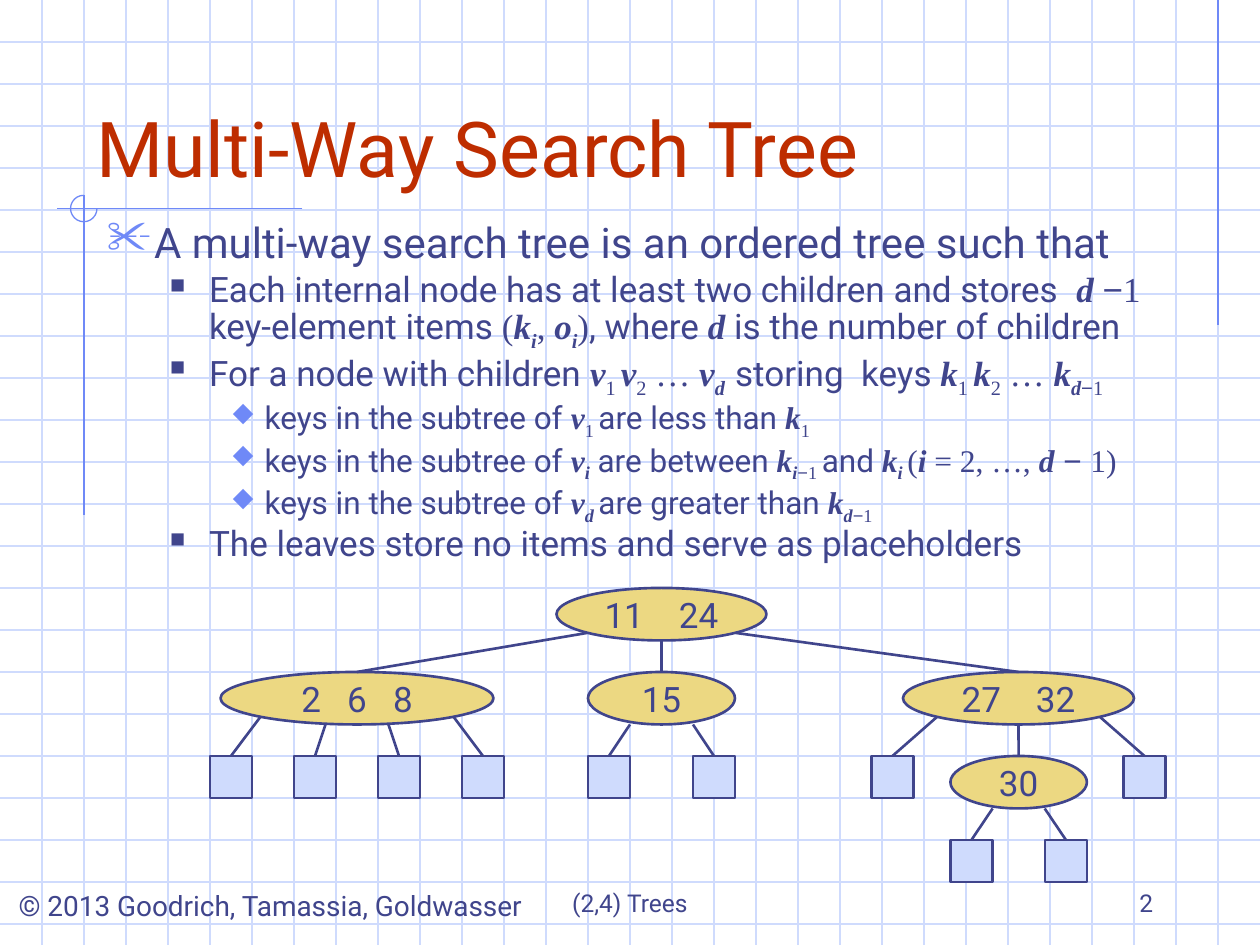
import dataclasses

import lxml.etree
import pptx
import pptx.dml.color
import pptx.enum.shapes
import pptx.enum.text
import pptx.oxml.ns
import pptx.util


@dataclasses.dataclass
class Theme:
    ink: str = "40458C"
    accent: str = "6F89F7"
    pale: str = "CFDBFD"
    gold: str = "ECD882"
    rust: str = "BE2D00"
    sans: str = "Roboto"
    serif: str = "Times New Roman"
    sign: str = "Arial"
    title: int = 44
    levels: tuple = (24, 20, 18)
    node: int = 20
    credit: int = 16
    footer: int = 14
    thin: float = 0.75
    thick: float = 1.5


theme = Theme()
rgb = pptx.dml.color.RGBColor.from_string
qn = pptx.oxml.ns.qn
shapes = pptx.enum.shapes.MSO_SHAPE
anchors = pptx.enum.text.MSO_ANCHOR
aligns = pptx.enum.text.PP_ALIGN
cell = pptx.util.Cm(2.54) / 3  # the slide is 30 by 22.5 squares of graph paper

deck = pptx.Presentation()
deck.slide_width = pptx.util.Cm(25.4)
deck.slide_height = pptx.util.Cm(19.05)
page = deck.slides.add_slide(deck.slide_layouts[6])


def draw_line(x1, y1, x2, y2, color, width):
    ends = (round(cell * v) for v in (x1, y1, x2, y2))
    line = page.shapes.add_connector(pptx.enum.shapes.MSO_CONNECTOR.STRAIGHT, *ends)
    line.line.color.rgb = rgb(color)
    line.line.width = pptx.util.Pt(width)
    lxml.etree.SubElement(line.element.spPr, qn("a:effectLst"))
    return line


def add_span(para, text, size, color=theme.ink, font=theme.sans, bold=False, sub=False):
    span = para.add_run()
    span.text = text
    span.font.name = font
    span.font.size = pptx.util.Pt(size)
    span.font.color.rgb = rgb(color)
    span.font.bold = span.font.italic = bold
    if sub:
        span.font._element.set("baseline", "-25000")
    return span


# Graph paper
for row in range(1, 23):
    draw_line(0, row, 30, row, theme.pale, theme.thin)
for column in range(1, 30):
    draw_line(column, 0, column, 22.5, theme.pale, theme.thin)

# Margin rules and the three-quarter circle where they cross
for ends in ((29, 0, 29, 7.75), (7.2, 4.97, 1.35, 4.97), (2, 4.65, 2, 12.27)):
    draw_line(*ends, theme.accent, theme.thin)
arc = page.shapes.add_shape(shapes.ARC, *(round(cell * v) for v in (1.68, 4.65, 0.63, 0.63)))
arc.shadow.inherit = False
arc.adjustments[0] = 0
arc.adjustments[1] = 162  # 270 degrees
arc.fill.background()
arc.line.color.rgb = rgb(theme.accent)
arc.line.width = pptx.util.Pt(theme.thin)

# Title and footer: place in cells, text, size, colour, alignment, anchor, wrap
labels = [
    ((-0.15, 21, 13.17, 1.1), "© 2013 Goodrich, Tamassia, Goldwasser", theme.credit, theme.ink,
     aligns.CENTER, anchors.TOP, False),
    ((10.25, 20.5, 9.5, 1.5), "(2,4) Trees", theme.footer, theme.ink,
     aligns.CENTER, anchors.BOTTOM, True),
    ((21.5, 20.5, 6.25, 1.5), "2", theme.footer, theme.ink,
     aligns.RIGHT, anchors.BOTTOM, True),
    ((2, 1, 26.75, 3.75), "Multi-Way Search Tree", theme.title, theme.rust,
     aligns.LEFT, anchors.BOTTOM, True),
]
for place, text, size, color, align, anchor, wrap in labels:
    box = page.shapes.add_textbox(*(round(cell * v) for v in place))
    box.text_frame.word_wrap = wrap
    box.text_frame.vertical_anchor = anchor
    para = box.text_frame.paragraphs[0]
    para.alignment = align
    add_span(para, text, size, color)

# Body: level, then (style, text) spans; "_" marks a subscript
styles = {
    "text": (theme.sans, False),
    "var": (theme.serif, True),
    "math": (theme.serif, False),
    "sign": (theme.sign, False),
}
last_key = [("var", "k"), ("var_", "d"), ("sign_", "−"), ("math_", "1")]
subtree = ("text", "keys in the subtree of ")
body = [
    (0, [("text", "A multi-way search tree is an ordered tree such that")]),
    (1, [("text", "Each internal node has at least two children and stores  "), ("var", "d "),
         ("sign", "−"), ("math", "1 "), ("text", "key-element items "), ("math", "("),
         ("var", "k"), ("var_", "i"), ("math", ", "), ("var", "o"), ("var_", "i"),
         ("math", ")"), ("text", ", where "), ("var", "d "),
         ("text", "is the number of children")]),
    (1, [("text", "For a node with children "), ("var", "v"), ("math_", "1 "), ("var", "v"),
         ("math_", "2"), ("math", " … "), ("var", "v"), ("var_", "d  "),
         ("text", "storing  keys "), ("var", "k"), ("math_", "1 "), ("var", "k"),
         ("math_", "2"), ("math", " … "), *last_key]),
    (2, [subtree, ("var", "v"), ("math_", "1 "), ("text", "are less than "),
         ("var", "k"), ("math_", "1")]),
    (2, [subtree, ("var", "v"), ("var_", "i"), ("text", " are between "), ("var", "k"),
         ("var_", "i"), ("sign_", "−"), ("math_", "1 "), ("text", "and "), ("var", "k"),
         ("var_", "i "), ("math", "("), ("var", "i"), ("math", " = 2, …, "), ("var", "d"),
         ("sign", " − "), ("math", "1)")]),
    (2, [subtree, ("var", "v"), ("var_", "d "), ("text", "are greater than "), *last_key]),
    (1, [("text", "The leaves store no items and serve as placeholders")]),
]
# By level: left margin, hanging indent, space before, bullet, its colour and size
bullets = [
    (0.95, 0.95, 6, "✂", theme.accent, 110),
    (2.06, 0.79, 5, "■", theme.ink, 60),
    (3.18, 0.64, 4.5, "◆", theme.accent, 85),
]
box = page.shapes.add_textbox(*(round(cell * v) for v in (2.25, 5.25, 26.5, 9)))
box.text_frame.word_wrap = True
for index, (level, spans) in enumerate(body):
    para = box.text_frame.add_paragraph() if index else box.text_frame.paragraphs[0]
    margin, hang, before, mark, color, percent = bullets[level]
    para.level = level
    para.line_spacing = 0.8
    para.space_before = pptx.util.Pt(before)
    props = para._p.get_or_add_pPr()
    props.set("marL", str(pptx.util.Cm(margin)))
    props.set("indent", str(-pptx.util.Cm(hang)))
    tint = lxml.etree.SubElement(props, qn("a:buClr"))
    lxml.etree.SubElement(tint, qn("a:srgbClr"), val=color)
    lxml.etree.SubElement(props, qn("a:buSzPct"), val=str(percent * 1000))
    lxml.etree.SubElement(props, qn("a:buChar"), char=mark)
    for style, text in spans:
        font, bold = styles[style.rstrip("_")]
        add_span(para, text, theme.levels[level], font=font, bold=bold, sub=style.endswith("_"))

# Tree nodes: keys, left, top and width in cells, gap between keys in points
nodes = [
    ("11 24", 13.25, 14, 5, 15),
    ("2 6 8", 5.25, 16, 6.5, 10),
    ("15", 14, 16, 3.5, 0),
    ("30", 22.63, 18, 3.25, 0),
    ("27 32", 21.5, 16, 5.5, 15),
]
leaves = [(x, 18) for x in (5, 7, 9, 11, 14, 16.5, 20.75, 26.75)] + [(22.63, 20), (24.88, 20)]
outlines = [(shapes.OVAL, keys, gap, theme.gold, (x, y, width, 1.25))
            for keys, x, y, width, gap in nodes]
outlines += [(shapes.RECTANGLE, "", 0, theme.pale, (x, y, 1, 1)) for x, y in leaves]
tree = {}
for kind, keys, gap, color, place in outlines:
    node = page.shapes.add_shape(kind, *(round(cell * v) for v in place))
    node.shadow.inherit = False
    node.fill.solid()
    node.fill.fore_color.rgb = rgb(color)
    node.line.color.rgb = rgb(theme.ink)
    node.line.width = pptx.util.Pt(theme.thick)
    tree[keys or place[:2]] = (node, place)
    if keys:
        node.text_frame.word_wrap = False
        node.text_frame.vertical_anchor = anchors.MIDDLE
        para = node.text_frame.paragraphs[0]
        para.alignment = aligns.CENTER
        for index, key in enumerate(keys.split()):
            if index:
                space = add_span(para, " ", theme.node)
                space.font._element.set("spc", str(gap * 100))
            add_span(para, key, theme.node)

# Edges: parent, then (child, start right of the parent's centre, start below its top)
corner, bottom = 1.07, 1.25
edges = {
    "11 24": [("2 6 8", -1.77, corner), ("15", 0, bottom), ("27 32", 1.77, corner)],
    "2 6 8": [((5, 18), -2.3, corner), ((7, 18), -0.75, bottom),
              ((9, 18), 0.75, bottom), ((11, 18), 2.3, corner)],
    "15": [((14, 18), -0.75, bottom), ((16.5, 18), 0.75, bottom)],
    "27 32": [((20.75, 18), -1.94, corner), ("30", 0, bottom), ((26.75, 18), 1.94, corner)],
    "30": [((22.63, 20), -0.62, bottom), ((24.88, 20), 0.62, bottom)],
}
for parent, children in edges.items():
    left, top, width, _ = tree[parent][1]
    for child, shift, drop in children:
        node, (x, y, child_width, _) = tree[child]
        edge = draw_line(left + width / 2 + shift, top + drop, x + child_width / 2, y,
                         theme.ink, theme.thick)
        edge.end_connect(node, 0)

deck.save("out.pptx")
